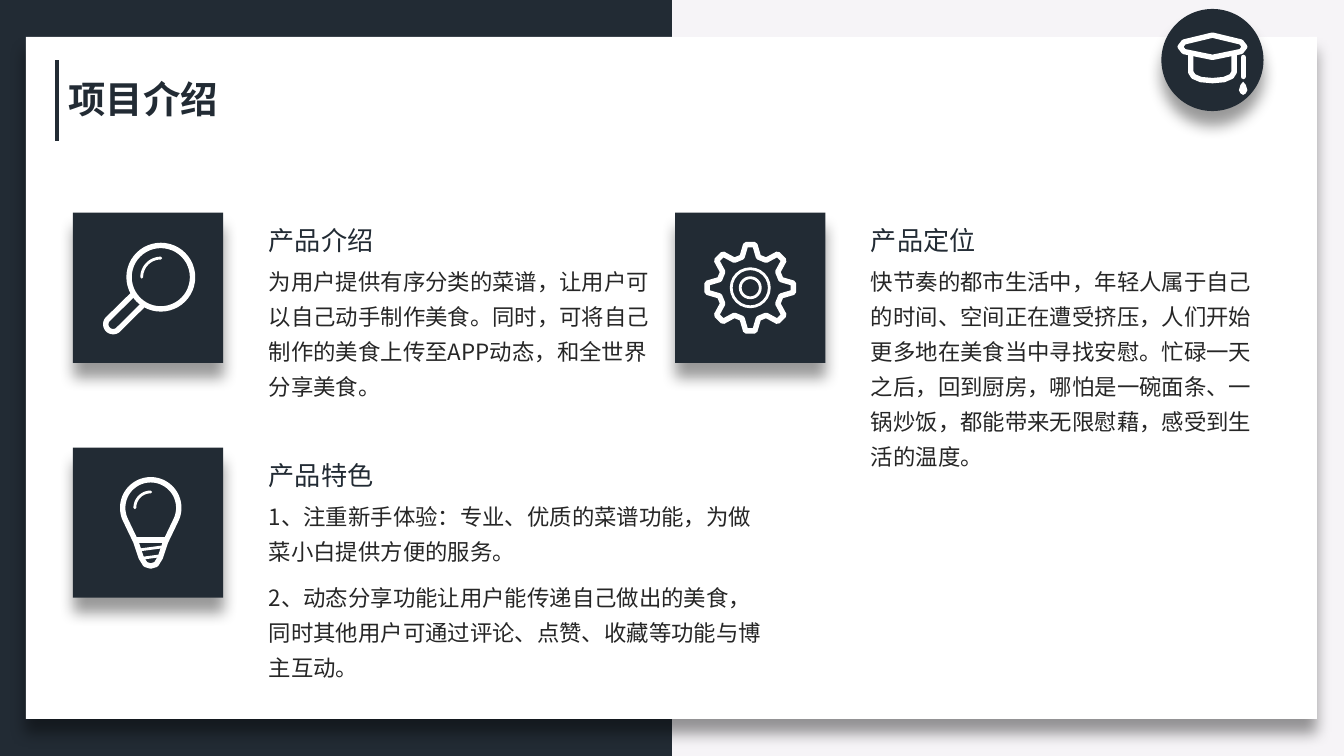
import math
from lxml import etree
from pptx import Presentation
from pptx.dml.color import RGBColor
from pptx.enum import shapes, text
from pptx.oxml import ns
from pptx.util import Cm, Pt

COLORS = {"dark": "222B34", "pale": "F6F4F7", "white": "FFFFFF", "body": "262626"}
HEADING_FONT, BODY_FONT = "Arial", "Noto Sans CJK SC"
TITLE = "项目介绍"
SECTIONS = [
    dict(icon="lens", at=(1.38, 4.02), width=7.92, height=2.92, heading="产品介绍", body=[
        "为用户提供有序分类的菜谱，让用户可以自己动手制作美食。同时，可将自己制作的美食上传至APP动态，和全世界分享美食。"]),
    dict(icon="gear", at=(12.76, 4.02), width=7.92, height=4.24, heading="产品定位", body=[
        "快节奏的都市生活中，年轻人属于自己的时间、空间正在遭受挤压，人们开始更多地在美食当中寻找安慰。"
        "忙碌一天之后，回到厨房，哪怕是一碗面条、一锅炒饭，都能带来无限慰藉，感受到生活的温度。"]),
    dict(icon="bulb", at=(1.38, 8.46), width=9.86, height=3.81, heading="产品特色", body=[
        "1、注重新手体验：专业、优质的菜谱功能，为做菜小白提供方便的服务。",
        "2、动态分享功能让用户能传递自己做出的美食，同时其他用户可通过评论、点赞、收藏等功能与博主互动。"]),
]
TILE = 2.84
BADGE = (21.95, 0.17, 1.93)
THICK, THIN = 2.9, 1.5


def arc(x, y, radius, start, end, steps=24):
    angles = [math.radians(start + (end - start) * i / steps) for i in range(steps + 1)]
    return [(x + radius * math.cos(a), y + radius * math.sin(a)) for a in angles]


def mirrored(points, axis):
    return points + [(2 * axis - x, y) for x, y in reversed(points)]


def polar(radius, degrees):
    angle = math.radians(degrees)
    return radius * math.cos(angle), radius * math.sin(angle)


TOOTH = [(0.6, -15), (0.82, -6), (0.82, 6), (0.6, 15)]
BULB_SIDE = [(0.05, 0.82), (-0.05, 0.79), (-0.13, 0.66), (-0.23, 0.36), (-0.36, 0.09)]
ICONS = {
    "lens": dict(
        rings=[(0.24, -0.2, 0.6, THICK)],
        strokes=[(arc(0.24, -0.2, 0.36, 180, 270), THIN, False),
                 ([(-0.3, 0.14)] + arc(-0.66, 0.69, 0.14, 225, 45) + [(-0.11, 0.34)], THICK, False)]),
    "gear": dict(
        rings=[(0, 0, 0.36, THIN), (0, 0, 0.19, THIN)],
        strokes=[([polar(r, 45 * i + a) for i in range(8) for r, a in TOOTH], THICK, True)]),
    "bulb": dict(
        rings=[],
        strokes=[(mirrored(BULB_SIDE + arc(0.05, -0.28, 0.53, 155, 270), 0.05), THICK, True),
                 (arc(0.05, -0.28, 0.3, 180, 270), THIN, False),
                 ([(-0.23, 0.33), (0.33, 0.33)], THICK, False),
                 ([(-0.13, 0.51), (0.25, 0.46)], THIN, False),
                 ([(-0.1, 0.67), (0.2, 0.63)], THIN, False)]),
    "cap": dict(
        rings=[],
        strokes=[(mirrored([(0, -0.47), (-0.54, -0.34), (-0.61, -0.25), (-0.54, -0.16), (0, -0.05)], 0),
                  THICK, True),
                 (mirrored([(-0.41, -0.1), (-0.41, 0.23), (-0.36, 0.31), (-0.22, 0.37), (0, 0.39)], 0),
                  THICK, False),
                 ([(0.58, -0.05), (0.58, 0.31)], THICK, False)]),
}
TASSEL = mirrored([(0.58, 0.41), (0.53, 0.47), (0.5, 0.57), (0.53, 0.63), (0.58, 0.66)], 0.58)


def color(name):
    return RGBColor.from_string(COLORS[name])


def add_solid(slide, kind, left, top, width, height, fill, shadow=True):
    shape = slide.shapes.add_shape(kind, Cm(left), Cm(top), Cm(width), Cm(height))
    shape.fill.solid()
    shape.fill.fore_color.rgb = color(fill)
    shape.line.fill.background()
    shape.shadow.inherit = False
    if shadow:
        effects = shape._element.spPr.find(ns.qn("a:effectLst"))
        outer = etree.SubElement(effects, ns.qn("a:outerShdw"), blurRad=str(Pt(8)), dist=str(Pt(8)),
                                 dir="5400000", algn="t", rotWithShape="0")
        black = etree.SubElement(outer, ns.qn("a:srgbClr"), val="000000")
        etree.SubElement(black, ns.qn("a:alpha"), val="40000")


def add_line(slide, start, end):
    line = slide.shapes.add_connector(shapes.MSO_CONNECTOR.STRAIGHT, *[Cm(v) for v in start + end])
    etree.SubElement(line._element.spPr, ns.qn("a:effectLst"))
    return line


def outline(shape, width, name="white"):
    shape.line.color.rgb = color(name)
    shape.line.width = Pt(width)
    line = shape._element.spPr.find(ns.qn("a:ln"))
    line.set("cap", "rnd")
    etree.SubElement(line, ns.qn("a:round"))


def add_outline(slide, points, closed):
    first, *rest = [(Cm(x), Cm(y)) for x, y in points]
    builder = slide.shapes.build_freeform(*first)
    builder.add_line_segments(rest, close=closed)
    shape = builder.convert_to_shape()
    shape.fill.background()
    shape.shadow.inherit = False
    return shape


def draw_icon(slide, icon, x, y):
    for dx, dy, radius, width in icon["rings"]:
        ring = slide.shapes.add_shape(shapes.MSO_SHAPE.OVAL, Cm(x + dx - radius), Cm(y + dy - radius),
                                      Cm(2 * radius), Cm(2 * radius))
        ring.fill.background()
        ring.shadow.inherit = False
        outline(ring, width)
    for points, width, closed in icon["strokes"]:
        placed = [(x + dx, y + dy) for dx, dy in points]
        stroke = add_line(slide, *placed) if len(placed) == 2 else add_outline(slide, placed, closed)
        outline(stroke, width)


def write(shape, paragraphs, size, name, font_color, wrap=False, bold=False, spacing=None):
    frame = shape.text_frame
    frame.text = "\n".join(paragraphs)
    frame.word_wrap = wrap
    frame.auto_size = text.MSO_AUTO_SIZE.SHAPE_TO_FIT_TEXT
    frame.vertical_anchor = text.MSO_ANCHOR.TOP
    for paragraph in frame.paragraphs:
        paragraph.alignment = text.PP_ALIGN.LEFT
        if spacing:
            paragraph.line_spacing, paragraph.space_before = spacing
        font = paragraph.font
        font.size, font.bold, font.name = Pt(size), bold, name
        font.color.rgb = color(font_color)
        latin = paragraph._p.pPr.find(ns.qn("a:defRPr")).find(ns.qn("a:latin"))
        latin.addnext(latin.makeelement(ns.qn("a:ea"), {"typeface": BODY_FONT}))


def add_text(slide, left, top, width, height, *args, **options):
    write(slide.shapes.add_textbox(Cm(left), Cm(top), Cm(width), Cm(height)), *args, **options)


def add_section(slide, section):
    left, top = section["at"]
    add_solid(slide, shapes.MSO_SHAPE.RECTANGLE, left, top, TILE, TILE, "dark")
    draw_icon(slide, ICONS[section["icon"]], left + TILE / 2, top + TILE / 2)
    add_text(slide, left + 3.45, top + 0.1, 2.49, 0.86, [section["heading"]], 14, HEADING_FONT, "dark")
    add_text(slide, left + 3.45, top + 0.78, section["width"], section["height"], section["body"],
             12, BODY_FONT, "body", wrap=True, spacing=(1.3, Pt(6)))


def main():
    presentation = Presentation()
    presentation.slide_width, presentation.slide_height = Cm(25.4), Cm(14.29)
    slide = presentation.slides.add_slide(presentation.slide_layouts[5])
    slide.background.fill.solid()
    slide.background.fill.fore_color.rgb = color("pale")

    add_solid(slide, shapes.MSO_SHAPE.RECTANGLE, 0, 0, 12.7, 14.29, "dark", shadow=False)
    add_solid(slide, shapes.MSO_SHAPE.RECTANGLE, 0.49, 0.7, 24.4, 12.89, "white")
    rule = add_line(slide, (1.08, 1.14), (1.08, 2.66))
    rule.line.color.rgb = color("dark")
    rule.line.width = Pt(2.25)

    left, top, size = BADGE
    x, y = left + size / 2, top + size / 2
    add_solid(slide, shapes.MSO_SHAPE.OVAL, left, top, size, size, "dark")
    draw_icon(slide, ICONS["cap"], x, y)
    tassel = add_outline(slide, [(x + dx, y + dy) for dx, dy in TASSEL], True)
    tassel.fill.solid()
    tassel.fill.fore_color.rgb = color("white")
    tassel.line.fill.background()

    title = slide.shapes.title
    title.left, title.top, title.width, title.height = Cm(1.04), Cm(1.32), Cm(3.7), Cm(1.12)
    write(title, [TITLE], 20, BODY_FONT, "dark", wrap=True, bold=True)
    slide.shapes._spTree.append(title._element)

    for section in SECTIONS:
        add_section(slide, section)
    presentation.save("out.pptx")


if __name__ == "__main__":
    main()
